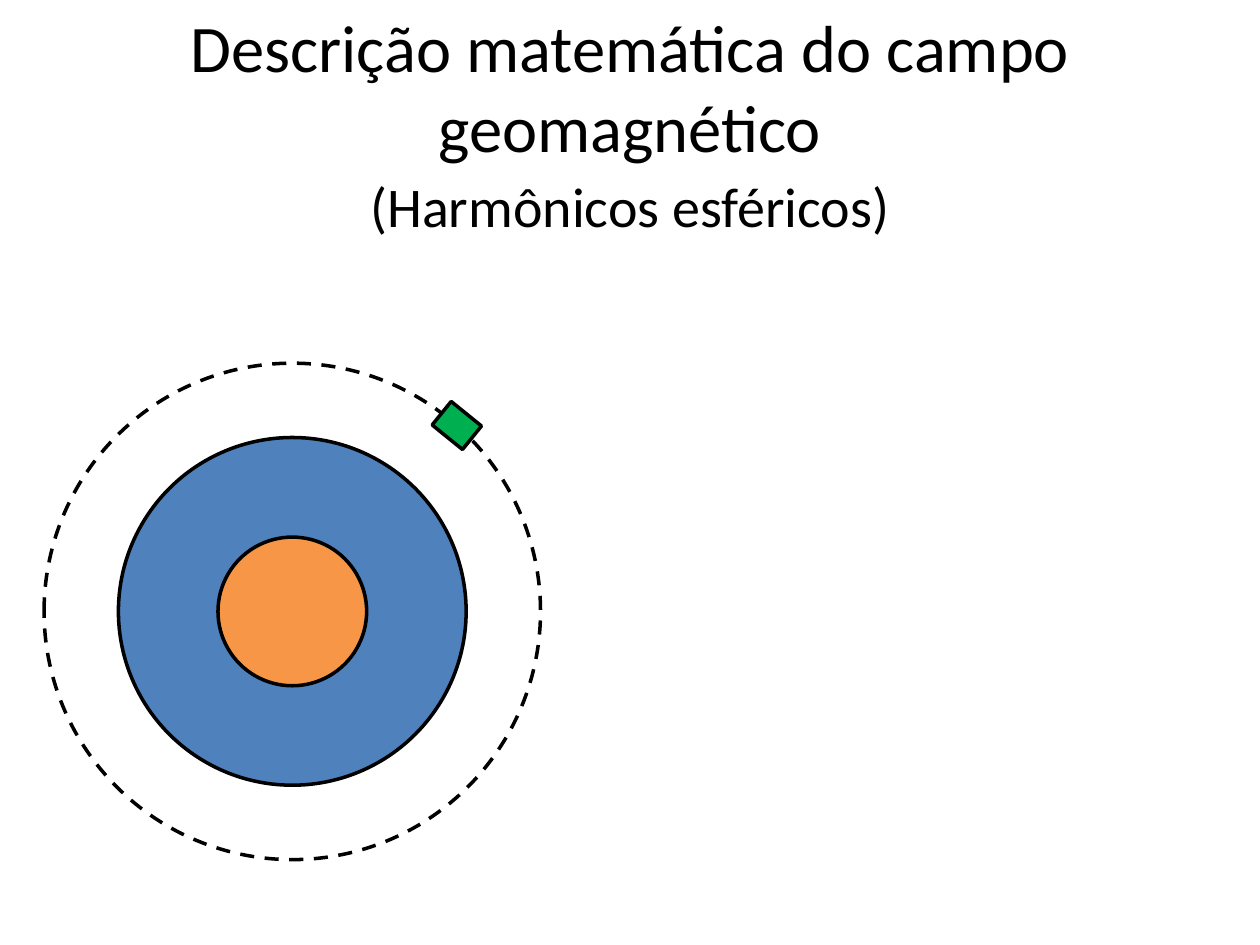
import math
from dataclasses import dataclass
from typing import Optional

from pptx import Presentation
from pptx import util as u
from pptx.dml.color import RGBColor
from pptx.enum import dml, shapes, text


@dataclass(frozen=True)
class Theme:
    font: str = "Calibri"
    ink: str = "000000"
    mantle: str = "4F81BD"
    core: str = "F79646"
    satellite: str = "00B050"
    title_size: float = 38
    subtitle_size: float = 32
    line_width: float = 2


@dataclass(frozen=True)
class Body:
    kind: shapes.MSO_SHAPE
    x: float
    y: float
    width: float
    height: float
    fill: Optional[str] = None
    dashed: bool = False
    rotation: float = 0


THEME = Theme()
SLIDE_W, SLIDE_H = 10, 7.5
EARTH_X, EARTH_Y = 0.232 * SLIDE_W, 0.647 * SLIDE_H
ORBIT_RADIUS = 0.197 * SLIDE_W
MANTLE_RADIUS = 0.138 * SLIDE_W
CORE_RADIUS = 0.059 * SLIDE_W
SATELLITE_ANGLE = math.radians(48.5)


def sphere(radius: float, fill: Optional[str] = None, dashed: bool = False) -> Body:
    return Body(shapes.MSO_SHAPE.OVAL, EARTH_X, EARTH_Y,
                2 * radius, 2 * radius, fill, dashed)


def draw_body(slide, body: Body) -> None:
    drawn = slide.shapes.add_shape(
        body.kind,
        u.Inches(body.x - body.width / 2), u.Inches(body.y - body.height / 2),
        u.Inches(body.width), u.Inches(body.height))
    drawn.shadow.inherit = False
    drawn.rotation = body.rotation
    if body.fill:
        drawn.fill.solid()
        drawn.fill.fore_color.rgb = RGBColor.from_string(body.fill)
    else:
        drawn.fill.background()
    drawn.line.color.rgb = RGBColor.from_string(THEME.ink)
    drawn.line.width = u.Pt(THEME.line_width)
    if body.dashed:
        drawn.line.dash_style = dml.MSO_LINE.DASH


def write(slide, words: str, *, left: float, top: float, width: float,
          height: float, size: float, anchor=text.MSO_ANCHOR.TOP) -> None:
    box = slide.shapes.add_textbox(
        u.Inches(left * SLIDE_W), u.Inches(top * SLIDE_H),
        u.Inches(width * SLIDE_W), u.Inches(height * SLIDE_H))
    frame = box.text_frame
    frame.word_wrap = True
    frame.vertical_anchor = anchor
    paragraph = frame.paragraphs[0]
    paragraph.alignment = text.PP_ALIGN.CENTER
    run = paragraph.add_run()
    run.text = words
    run.font.name = THEME.font
    run.font.size = u.Pt(size)
    run.font.color.rgb = RGBColor.from_string(THEME.ink)


def main() -> None:
    deck = Presentation()
    deck.slide_width, deck.slide_height = u.Inches(SLIDE_W), u.Inches(SLIDE_H)
    slide = deck.slides.add_slide(deck.slide_layouts[6])

    write(slide, "(Harmônicos esféricos)", left=0.21, top=0.175,
          width=0.58, height=0.085, size=THEME.subtitle_size)

    satellite = Body(
        shapes.MSO_SHAPE.RECTANGLE,
        EARTH_X + ORBIT_RADIUS * math.cos(SATELLITE_ANGLE),
        EARTH_Y - ORBIT_RADIUS * math.sin(SATELLITE_ANGLE),
        0.31, 0.24, THEME.satellite, rotation=39)
    for body in (sphere(MANTLE_RADIUS, THEME.mantle),
                 sphere(ORBIT_RADIUS, dashed=True),
                 satellite,
                 sphere(CORE_RADIUS, THEME.core)):
        draw_body(slide, body)

    write(slide, "Descrição matemática do campo geomagnético", left=0,
          top=0.007, width=1, height=0.167, size=THEME.title_size,
          anchor=text.MSO_ANCHOR.MIDDLE)

    deck.save("out.pptx")


if __name__ == "__main__":
    main()
